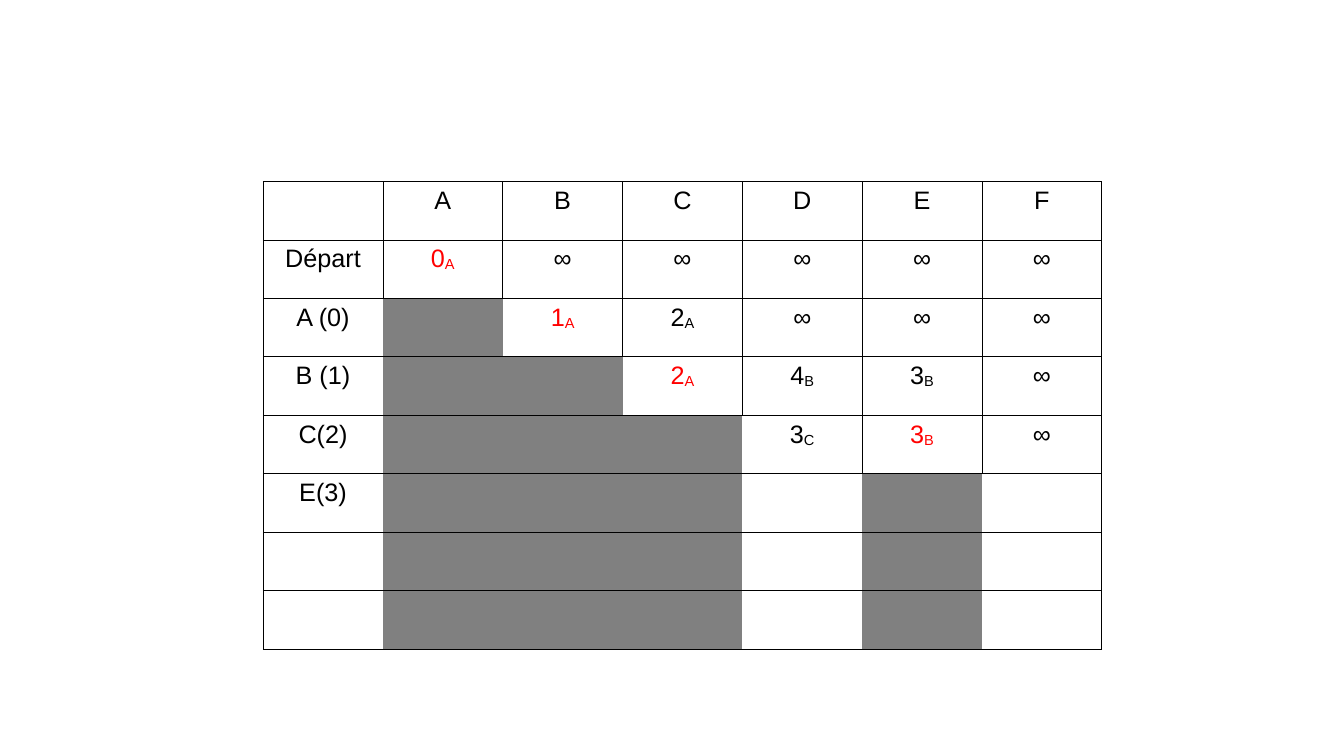
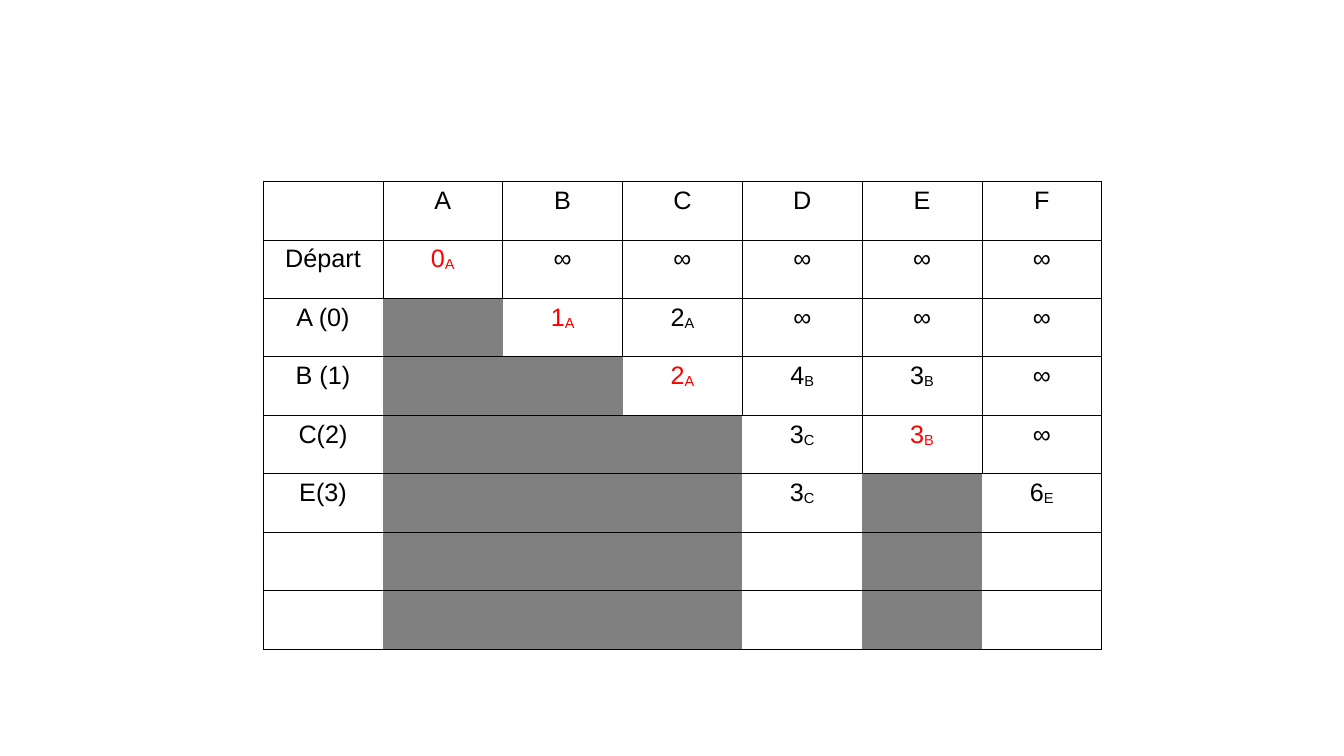
from dataclasses import dataclass

from lxml.etree import SubElement
from pptx import Presentation
from pptx.dml.color import RGBColor
from pptx.enum.text import MSO_ANCHOR, PP_ALIGN
from pptx.oxml.ns import qn
from pptx.util import Inches, Pt


@dataclass(frozen=True)
class Theme:
    font: str = "Arial"
    size: float = 18
    text: str = "000000"
    chosen: str = "FF0000"
    settled: str = "808080"
    line: str = "000000"
    line_width: float = 0.57
    subscript: str = "-8000"
    plain_table: str = "{2D5ABB26-0587-4C30-8999-92F81FD0307C}"


THEME = Theme()
TABLE_BOX = (2.61, 1.8, 8.32, 4.64)
CELL_FORMAT = {
    "margin_left": Inches(0.04),
    "margin_right": Inches(0.04),
    "margin_top": Inches(0.05),
    "margin_bottom": Inches(0.05),
    "vertical_anchor": MSO_ANCHOR.TOP,
}

# "2_A" is distance 2 reached from vertex A.
FIRST_STEPS = [
    ["", "A", "B", "C", "D", "E", "F"],
    ["Départ", "0_A", "∞", "∞", "∞", "∞", "∞"],
    ["A (0)", "", "1_A", "2_A", "∞", "∞", "∞"],
    ["B (1)", "", "", "2_A", "4_B", "3_B", "∞"],
    ["C(2)", "", "", "", "3_C", "3_B", "∞"],
]
EMPTY_ROW = [""] * 7
LAST_STEPS = [
    ["E(3)", "", "", "", "", "", ""],
    ["E(3)", "", "", "", "3_C", "", "6_E"],
]
# Column number -> row in which its vertex is chosen.
CHOSEN_ROWS = {1: 1, 2: 2, 3: 3, 5: 4}


def is_chosen(row, column):
    return CHOSEN_ROWS.get(column) == row


def is_settled(row, column):
    return column in CHOSEN_ROWS and row > CHOSEN_ROWS[column]


def set_borders(cell, row, column, last_column):
    """Rule every cell, leaving out inner vertical lines beside settled cells."""
    settled = is_settled(row, column)
    visible = {
        "L": column == 0 or not (settled or is_settled(row, column - 1)),
        "R": column == last_column or not (settled or is_settled(row, column + 1)),
        "T": True,
        "B": True,
    }
    properties = cell._tc.get_or_add_tcPr()
    for side, shown in visible.items():
        line = SubElement(properties, qn(f"a:ln{side}"), w=str(Pt(THEME.line_width)))
        if shown:
            fill = SubElement(line, qn("a:solidFill"))
            SubElement(fill, qn("a:srgbClr"), val=THEME.line)
        else:
            SubElement(line, qn("a:noFill"))


def write_cell(cell, text, color):
    paragraph = cell.text_frame.paragraphs[0]
    paragraph.alignment = PP_ALIGN.CENTER
    paragraph.font.size = Pt(THEME.size)
    distance, _, predecessor = text.partition("_")
    for part, baseline in ((distance, None), (predecessor, THEME.subscript)):
        if not part:
            continue
        run = paragraph.add_run()
        run.text = part
        for name, value in {"name": THEME.font, "size": Pt(THEME.size)}.items():
            setattr(run.font, name, value)
        run.font.color.rgb = RGBColor.from_string(color)
        if baseline:
            run._r.get_or_add_rPr().set("baseline", baseline)


def format_cell(cell, text, row, column, last_column):
    for name, value in CELL_FORMAT.items():
        setattr(cell, name, value)
    set_borders(cell, row, column, last_column)
    if is_settled(row, column):
        cell.fill.solid()
        cell.fill.fore_color.rgb = RGBColor.from_string(THEME.settled)
    else:
        cell.fill.background()
    write_cell(cell, text, THEME.chosen if is_chosen(row, column) else THEME.text)


def add_distance_table(slide, box, rows):
    left, top, width, height = box
    row_count, column_count = len(rows), len(rows[0])
    shape = slide.shapes.add_table(
        row_count, column_count, *(Inches(length) for length in box)
    )
    table = shape.table
    table.first_row = table.horz_banding = False
    table._tbl.tblPr.find(qn("a:tableStyleId")).text = THEME.plain_table
    for table_column in table.columns:
        table_column.width = Inches(width / column_count)
    for table_row in table.rows:
        table_row.height = Inches(height / row_count)
    for row, texts in enumerate(rows):
        for column, text in enumerate(texts):
            format_cell(table.cell(row, column), text, row, column, column_count - 1)


def main():
    presentation = Presentation()
    presentation.slide_width = Inches(13.33)
    presentation.slide_height = Inches(7.5)
    for last_step in LAST_STEPS:
        slide = presentation.slides.add_slide(presentation.slide_layouts[6])
        rows = FIRST_STEPS + [last_step, EMPTY_ROW, EMPTY_ROW]
        add_distance_table(slide, TABLE_BOX, rows)
    presentation.save("out.pptx")


if __name__ == "__main__":
    main()
